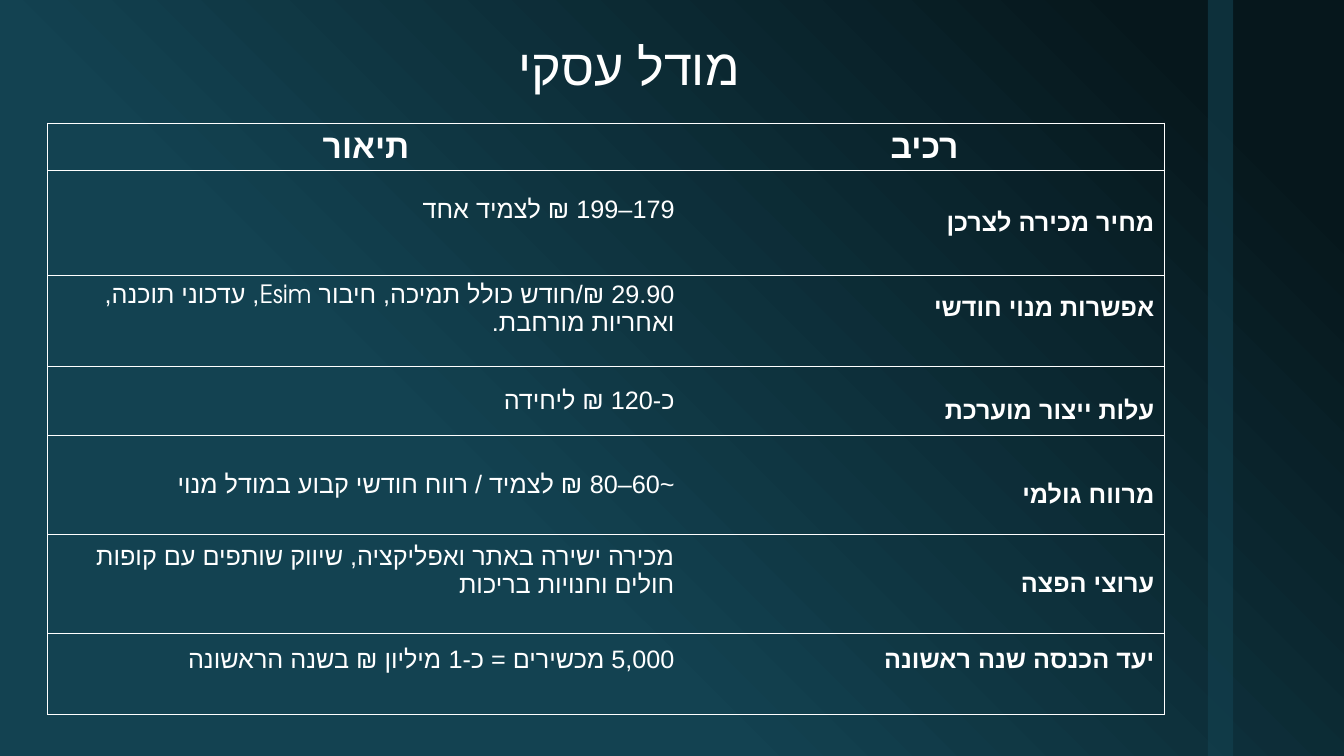
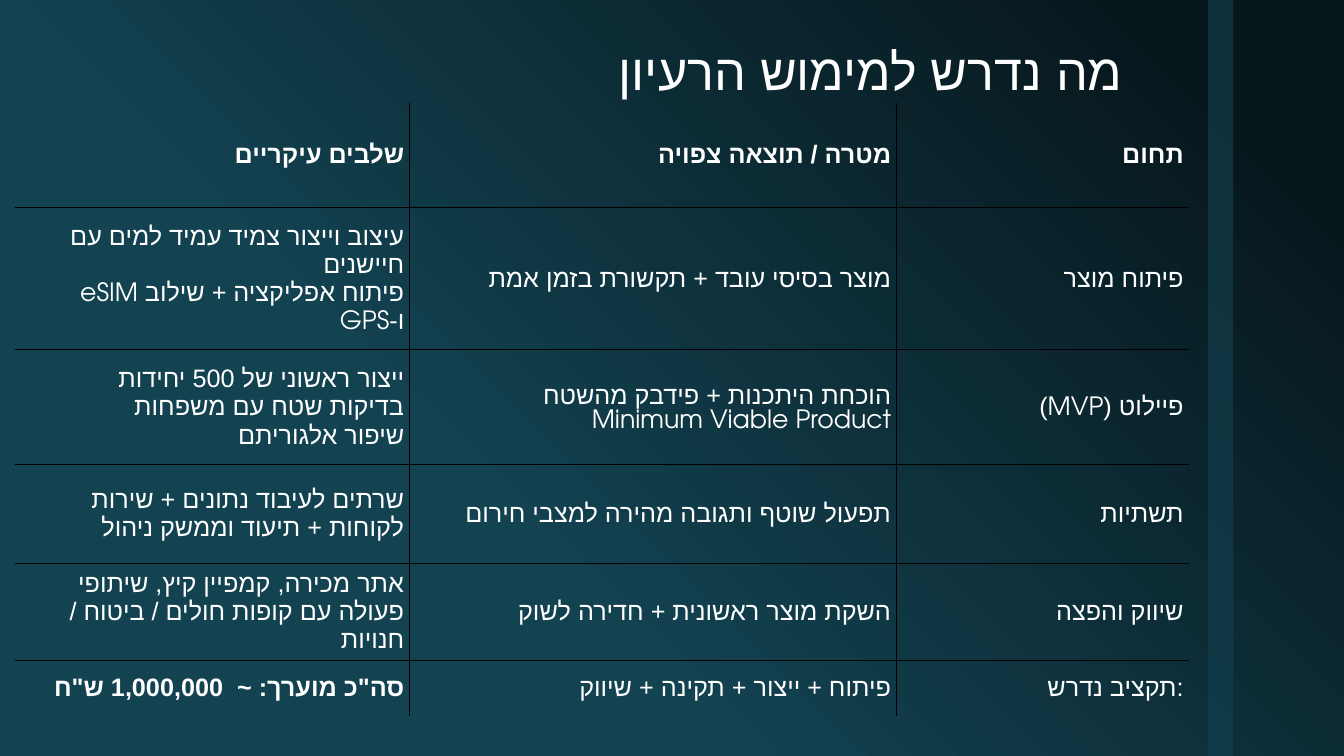
from itertools import cycle

from lxml.etree import SubElement
from pptx import Presentation
from pptx.dml.color import RGBColor
from pptx.enum.shapes import MSO_SHAPE
from pptx.enum.text import MSO_ANCHOR, PP_ALIGN
from pptx.oxml import parse_xml
from pptx.oxml.ns import nsdecls, qn
from pptx.util import Inches, Pt

WHITE = RGBColor(0xFF, 0xFF, 0xFF)
BLACK = RGBColor(0x00, 0x00, 0x00)
NIGHT = RGBColor(0x06, 0x17, 0x1C)
TEAL = RGBColor(0x13, 0x42, 0x51)
TITLE_FONT, BODY_FONT, HEBREW_FONT = "Cabin", "TeX Gyre Adventor", "Arial"
NO_GRID_STYLE = "{2D5ABB26-0587-4C30-8999-92F81FD0307C}"

BUSINESS_ROWS = [
    ["תיאור", "רכיב"],
    ["179–199 ₪ לצמיד אחד", "מחיר מכירה לצרכן"],
    ["29.90 ₪/חודש כולל תמיכה, חיבור Esim, עדכוני תוכנה, ואחריות מורחבת.", "אפשרות מנוי חודשי"],
    ["כ-120 ₪ ליחידה", "עלות ייצור מוערכת"],
    ["~60–80 ₪ לצמיד / רווח חודשי קבוע במודל מנוי", "מרווח גולמי"],
    ["מכירה ישירה באתר ואפליקציה, שיווק שותפים עם קופות חולים וחנויות בריכות", "ערוצי הפצה"],
    ["5,000 מכשירים = כ-1 מיליון ₪ בשנה הראשונה", "יעד הכנסה שנה ראשונה"],
]
BUSINESS_HEIGHTS = [0.47, 1.04, 0.82, 0.69, 0.98, 0.98, 0.81]
BUSINESS_LIFTS = {(1, 0): 0.13, (2, 0): 0.12, (2, 1): 0.13, (3, 1): -0.1,
                  (4, 1): -0.1, (5, 0): 0.13, (6, 0): 0.14, (6, 1): 0.14}

NEEDS_ROWS = [
    ["שלבים עיקריים", "מטרה / תוצאה צפויה", "תחום"],
    ["עיצוב וייצור צמיד עמיד למים עם חיישנים\vפיתוח אפליקציה + שילוב |eSIM |ו-|GPS",
     "מוצר בסיסי עובד + תקשורת בזמן אמת", "פיתוח מוצר"],
    ["ייצור ראשוני של 500 יחידות\vבדיקות שטח עם משפחות\vשיפור אלגוריתם",
     "הוכחת היתכנות + פידבק מהשטח\n|Minimum Viable Product", "פיילוט (MVP)"],
    ["שרתים לעיבוד נתונים + שירות לקוחות + תיעוד וממשק ניהול",
     "תפעול שוטף ותגובה מהירה למצבי חירום", "תשתיות"],
    ["אתר מכירה, קמפיין קיץ, שיתופי פעולה עם קופות חולים / ביטוח / חנויות",
     "השקת מוצר ראשונית + חדירה לשוק", "שיווק והפצה"],
    ["סה\"כ מוערך: ~  1,000,000 ש\"ח", "פיתוח + ייצור + תקינה + שיווק", ":תקציב נדרש"],
]
NEEDS_HEIGHTS = [1.04, 1.41, 1.14, 0.98, 0.96, 0.55]


def style_run(run, font, size, bold=False):
    """Format one run for Latin and Hebrew text."""
    run.font.name = font
    run.font.size = Pt(size)
    run.font.bold = bold
    run.font.color.rgb = WHITE
    SubElement(run.font._element, qn("a:cs")).set("typeface", HEBREW_FONT)


def set_direction(paragraph, align):
    """Make a paragraph run from right to left."""
    paragraph.alignment = align
    paragraph._p.get_or_add_pPr().set("rtl", "1")


def style_master(deck, page):
    """Give the master its gradient and its vertical band."""
    master = deck.slide_master
    stops = "".join(f'<a:gs pos="{place}"><a:srgbClr val="{colour}"/></a:gs>'
                    for place, colour in ((10000, NIGHT), (65000, TEAL), (100000, TEAL)))
    background = parse_xml(
        f'<p:bg {nsdecls("p", "a")}><p:bgPr><a:gradFill rotWithShape="1"><a:gsLst>{stops}</a:gsLst>'
        '<a:lin ang="8100000" scaled="0"/></a:gradFill><a:effectLst/></p:bgPr></p:bg>')
    content = master._element.cSld
    for old in content.findall(qn("p:bg")):
        content.remove(old)
    content.insert(0, background)
    band = page.shapes.add_shape(MSO_SHAPE.RECTANGLE, Inches(11.98), 0, Inches(0.25), deck.slide_height)
    band.shadow.inherit = False
    band.fill.solid()
    band.fill.fore_color.rgb = TEAL
    band.line.fill.background()
    colour = band._element.spPr.find(qn("a:solidFill"))[0]
    SubElement(colour, qn("a:alpha")).set("val", "60000")
    master.shapes._spTree.insert(2, band._element)


def add_page(deck, title, top, height, align):
    """Add a page with its title."""
    page = deck.slides.add_slide(deck.slide_layouts[5])
    box = page.shapes.title
    box.left, box.top, box.width, box.height = Inches(1.24), Inches(top), Inches(10), Inches(height)
    frame = box.text_frame
    frame.text = title
    frame.vertical_anchor = MSO_ANCHOR.BOTTOM
    para = frame.paragraphs[0]
    para.line_spacing = 0.9
    set_direction(para, align)
    style_run(para.runs[0], TITLE_FONT, 36)
    return page


def add_grid(page, left, top, widths, heights):
    """Add an unstyled table with the given columns and rows."""
    frame = page.shapes.add_table(len(heights), len(widths), Inches(left), Inches(top),
                                  Inches(sum(widths)), Inches(sum(heights)))
    table = frame.table
    table.horz_banding = table.first_row = False
    table._tbl.tblPr.find(qn("a:tableStyleId")).text = NO_GRID_STYLE
    for column, width in zip(table.columns, widths):
        column.width = Inches(width)
    for row, height in zip(table.rows, heights):
        row.height = Inches(height)
    return table


def draw_borders(cell, sides, colour, width):
    """Rule the named sides of a cell and clear its fill."""
    properties = cell._tc.get_or_add_tcPr()
    for side in "LRTB":
        if side in sides:
            line = SubElement(properties, qn(f"a:ln{side}"), w=str(Pt(width)))
            fill = SubElement(line, qn("a:solidFill"))
            SubElement(fill, qn("a:srgbClr")).set("val", str(colour))
    cell.fill.background()


def fill_cell(cell, text, font, size, bold, align, inset, lift=0):
    """Write a cell; bars switch fonts, and lift raises the text from the middle."""
    cell.vertical_anchor = MSO_ANCHOR.MIDDLE
    cell.margin_left = cell.margin_right = Inches(inset)
    cell.margin_top = Inches(0.05 + max(-2 * lift, 0))
    cell.margin_bottom = Inches(0.05 + max(2 * lift, 0))
    frame = cell.text_frame
    for index, content in enumerate(text.split("\n")):
        para = frame.add_paragraph() if index else frame.paragraphs[0]
        set_direction(para, align)
        for span, face in zip(content.split("|"), cycle((font, BODY_FONT))):
            for number, line in enumerate(span.split("\v")):
                if number:
                    para.add_line_break()
                if line:
                    run = para.add_run()
                    run.text = line
                    style_run(run, face, size, bold)


def fill_business(page):
    """Add the table of the business model."""
    table = add_grid(page, 0.47, 1.22, [6.32, 4.76], BUSINESS_HEIGHTS)
    for row, texts in enumerate(BUSINESS_ROWS):
        for column, text in enumerate(texts):
            cell = table.cell(row, column)
            header = row == 0
            fill_cell(cell, text, BODY_FONT, 24 if header else 18, header or column == 1,
                      PP_ALIGN.CENTER if header else PP_ALIGN.RIGHT, 0.1,
                      BUSINESS_LIFTS.get((row, column), 0))
            draw_borders(cell, "TB" + "LR"[column], WHITE, 0.5)


def fill_needs(page):
    """Add the table of needs, ruled on the inside only."""
    table = add_grid(page, 0.15, 1.02, [3.91, 4.83, 2.9], NEEDS_HEIGHTS)
    last_row = len(NEEDS_ROWS) - 1
    for row, texts in enumerate(NEEDS_ROWS):
        for column, text in enumerate(texts):
            cell = table.cell(row, column)
            fill_cell(cell, text, BODY_FONT if column == 2 else HEBREW_FONT, 18,
                      row == 0 or (row, column) == (last_row, 0), PP_ALIGN.RIGHT, 0.05)
            inner = {"L": column > 0, "R": column < 2, "T": row > 0, "B": row < last_row}
            draw_borders(cell, [side for side in inner if inner[side]], BLACK, 1)


def main():
    """Build and save the deck."""
    deck = Presentation()
    deck.slide_width, deck.slide_height = Inches(13.33), Inches(7.5)
    business = add_page(deck, "מודל עסקי", 0.23, 0.78, PP_ALIGN.CENTER)
    style_master(deck, business)
    fill_business(business)
    fill_needs(add_page(deck, "מה נדרש למימוש הרעיון", 0.21, 0.85, PP_ALIGN.RIGHT))
    deck.save("out.pptx")


if __name__ == "__main__":
    main()
